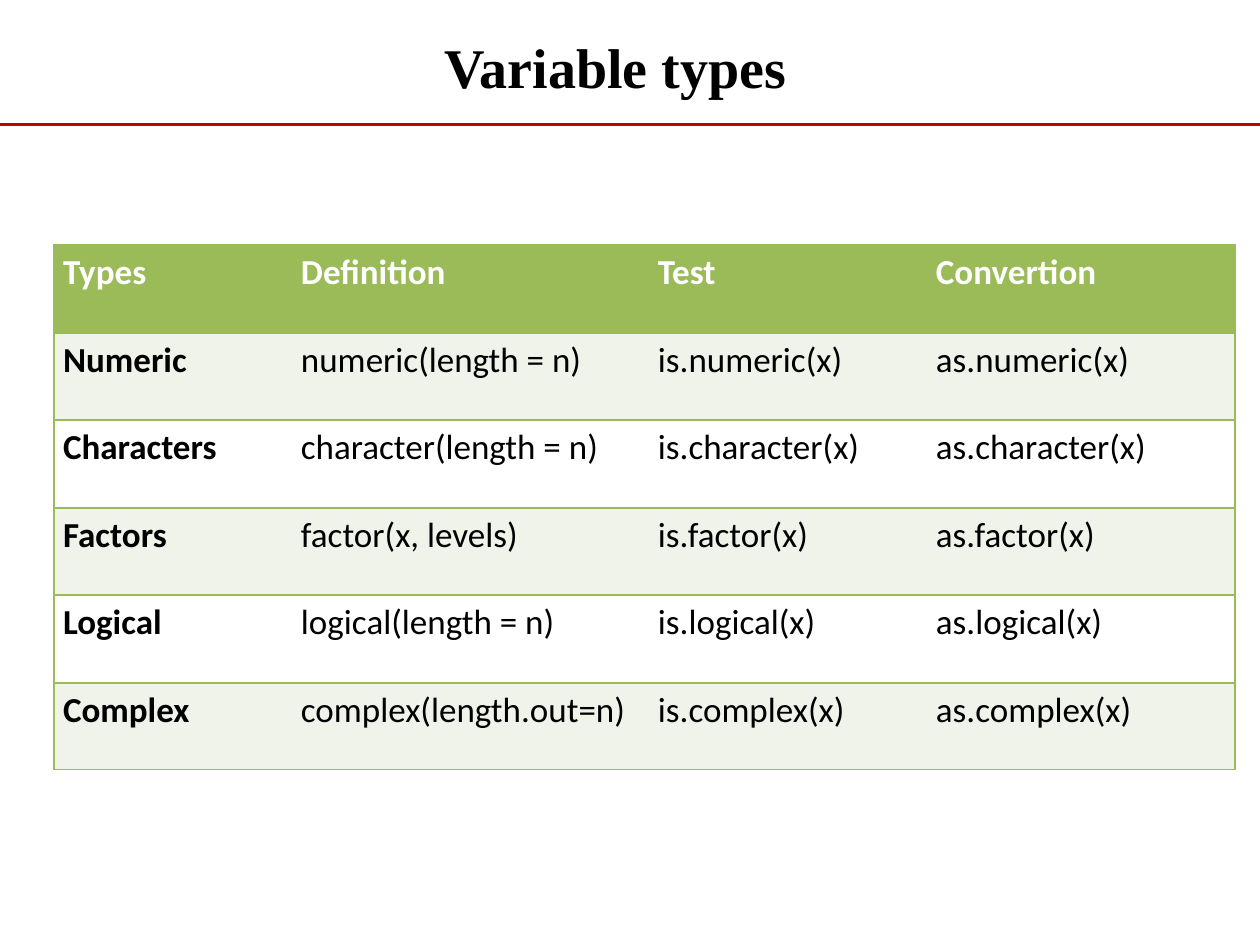
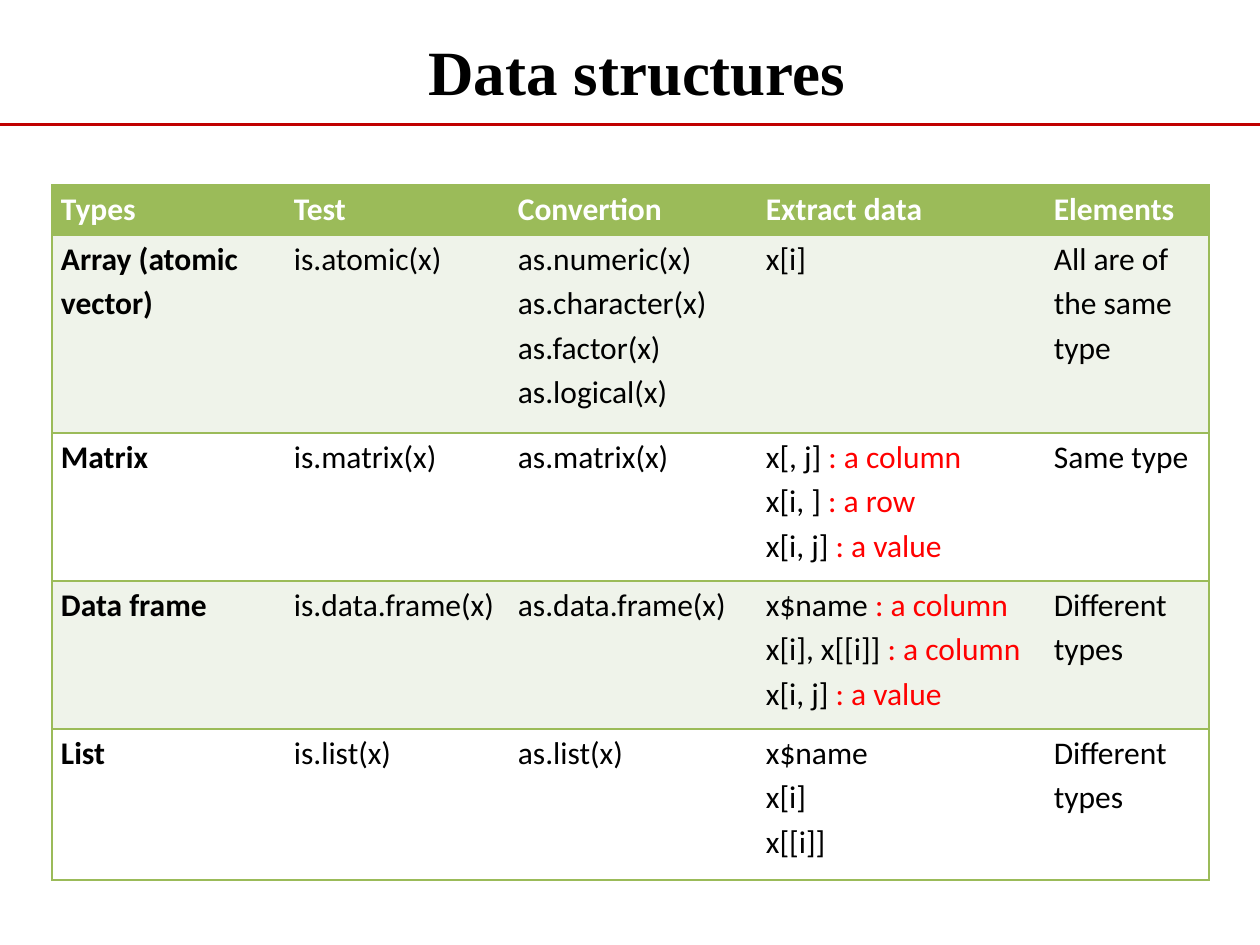
from dataclasses import dataclass

from lxml import etree
from pptx import Presentation
from pptx.dml.color import RGBColor
from pptx.enum.shapes import MSO_CONNECTOR
from pptx.enum.text import MSO_AUTO_SIZE
from pptx.oxml.ns import qn
from pptx.util import Emu, Pt

STRAIGHT = MSO_CONNECTOR.STRAIGHT
GROW = MSO_AUTO_SIZE.SHAPE_TO_FIT_TEXT
SCALE = 914400 / 126
WIDTH, HEIGHT = 1260, 945
RULE_Y = 125
PAD = 9
LEADING = 1.15
PLAIN_STYLE = "{2D5ABB26-0587-4C30-8999-92F81FD0307C}"


@dataclass(frozen=True)
class Theme:
    green: str = "9BBB59"
    tint: str = "EFF3EA"
    white: str = "FFFFFF"
    black: str = "000000"
    note: str = "FF0000"
    rule: str = "C00000"
    title_font: str = "Times New Roman"
    body_font: str = "Calibri"
    rule_width: float = 1.75
    grid_width: int = 1


@dataclass(frozen=True)
class Title:
    text: str
    left: int
    top: int
    width: int
    height: int
    size: int


@dataclass(frozen=True)
class Grid:
    left: int
    top: int
    widths: tuple[int, ...]
    heights: tuple[int, ...]
    size: int
    rows: tuple[tuple[str, ...], ...]


@dataclass(frozen=True)
class Page:
    title: Title
    grid: Grid


THEME = Theme()

TYPES = (("Numeric", "numeric(length = n)"),
         ("Characters", "character(length = n)"),
         ("Factors", "factor(x, levels)"),
         ("Logical", "logical(length = n)"),
         ("Complex", "complex(length.out=n)"))


def type_row(name: str, define: str) -> tuple[str, ...]:
    """Derive the test and cast calls from the function being defined."""
    call = define.partition("(")[0]
    return name, define, f"is.{call}(x)", f"as.{call}(x)"


PAGES = (
    Page(
        Title("Variable types", 432, 26, 370, 81, 32),
        Grid(54, 245, (238, 357, 278, 308), (88, 87) * 3, 20, (
            ("Types", "Definition", "Test", "Convertion"),
            *(type_row(*pair) for pair in TYPES),
        )),
    ),
    Page(
        Title("Data structures", 416, 26, 446, 89, 36),
        Grid(52, 185, (233, 224, 248, 288, 164), (50, 198, 148, 148, 151), 18, (
            ("Types", "Test", "Convertion", "Extract data", "Elements"),
            ("Array (atomic vector)", "is.atomic(x)",
             "as.numeric(x)\nas.character(x)\nas.factor(x)\nas.logical(x)",
             "x[i]", "All are of the same type"),
            ("Matrix", "is.matrix(x)", "as.matrix(x)",
             "x[, j] : a column\nx[i, ] : a row\nx[i, j] : a value",
             "Same type"),
            ("Data frame", "is.data.frame(x)", "as.data.frame(x)",
             "x$name : a column\nx[i], x[[i]] : a column\nx[i, j] : a value",
             "Different types"),
            ("List", "is.list(x)", "as.list(x)",
             "x$name\nx[i]\nx[[i]]", "Different types"),
        )),
    ),
)


def px(count: int) -> Emu:
    return Emu(round(count * SCALE))


def style(run, font: str, size: int, color: str, bold: bool) -> None:
    run.font.name = font
    run.font.size = Pt(size)
    run.font.bold = bold
    run.font.color.rgb = RGBColor.from_string(color)


def draw_title(slide, title: Title) -> None:
    box = slide.shapes.add_textbox(px(title.left), px(title.top),
                                   px(title.width), px(title.height))
    frame = box.text_frame
    frame.text = title.text
    frame.word_wrap = False
    frame.auto_size = GROW
    style(frame.paragraphs[0].runs[0], THEME.title_font, title.size,
          THEME.black, True)


def draw_rule(slide) -> None:
    rule = slide.shapes.add_connector(STRAIGHT, 0, px(RULE_Y),
                                      px(WIDTH), px(RULE_Y))
    rule.line.color.rgb = RGBColor.from_string(THEME.rule)
    rule.line.width = Pt(THEME.rule_width)
    etree.SubElement(rule._element.spPr, qn("a:effectLst"))


def add_edges(cell, first: bool, last: bool) -> None:
    """Line the top and bottom, and the outer sides of end columns."""
    props = cell._tc.get_or_add_tcPr()
    for side in "L" * first + "R" * last + "TB":
        edge = etree.SubElement(props, qn(f"a:ln{side}"),
                                w=str(Pt(THEME.grid_width)))
        fill = etree.SubElement(edge, qn("a:solidFill"))
        etree.SubElement(fill, qn("a:srgbClr"), val=THEME.green)


def fill_text(cell, text: str, size: int, color: str, bold: bool) -> None:
    """Write the lines, with any part from a colon on in the note colour."""
    cell.text_frame.text = text
    for para in cell.text_frame.paragraphs:
        para.line_spacing = LEADING
        code, colon, note = para.text.partition(":")
        para.text = code
        style(para.runs[0], THEME.body_font, size, color, bold)
        if colon:
            run = para.add_run()
            run.text = colon + note
            style(run, THEME.body_font, size, THEME.note, bold)


def draw_grid(slide, grid: Grid) -> None:
    shape = slide.shapes.add_table(
        len(grid.heights), len(grid.widths), px(grid.left), px(grid.top),
        px(sum(grid.widths)), px(sum(grid.heights)))
    for mark in shape._element.iter(qn("a:tableStyleId")):
        mark.text = PLAIN_STYLE
    table = shape.table
    table.horz_banding = False
    for column, width in zip(table.columns, grid.widths):
        column.width = px(width)
    for row, height in zip(table.rows, grid.heights):
        row.height = px(height)
    end = len(grid.widths) - 1
    for i, texts in enumerate(grid.rows):
        head = i == 0
        back = THEME.green if head else (THEME.white, THEME.tint)[i % 2]
        color = THEME.white if head else THEME.black
        for j, text in enumerate(texts):
            cell = table.cell(i, j)
            cell.margin_left = cell.margin_right = px(PAD)
            cell.margin_top = cell.margin_bottom = 0
            add_edges(cell, j == 0, j == end)
            cell.fill.solid()
            cell.fill.fore_color.rgb = RGBColor.from_string(back)
            fill_text(cell, text, grid.size, color, head or j == 0)


def main() -> None:
    deck = Presentation()
    deck.slide_width, deck.slide_height = px(WIDTH), px(HEIGHT)
    for page in PAGES:
        slide = deck.slides.add_slide(deck.slide_layouts[6])
        draw_title(slide, page.title)
        draw_grid(slide, page.grid)
        draw_rule(slide)
    deck.save("out.pptx")


if __name__ == "__main__":
    main()
